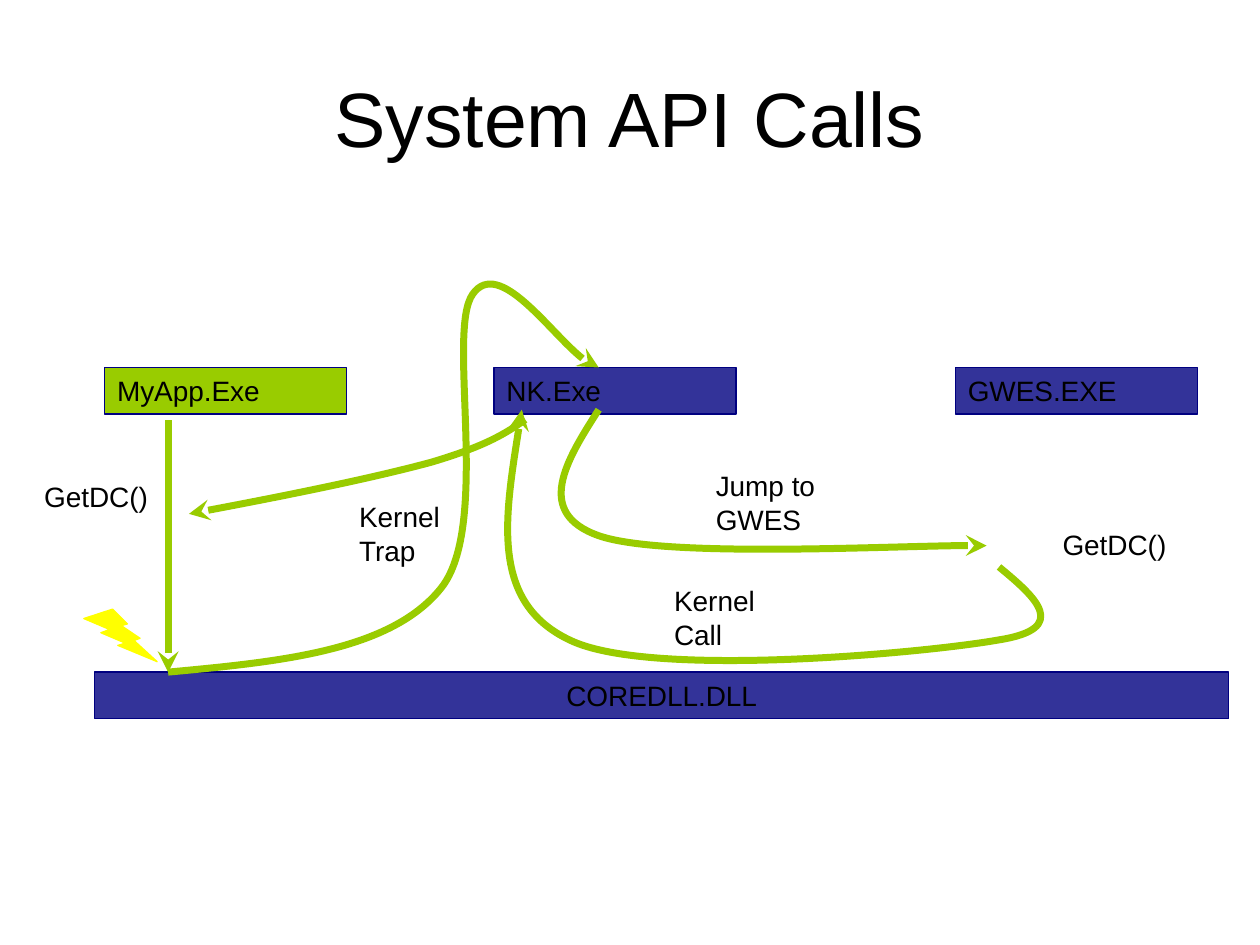
from lxml import etree
from pptx import Presentation
from pptx.dml.color import RGBColor
from pptx.enum.shapes import MSO_CONNECTOR, MSO_SHAPE
from pptx.enum.text import MSO_ANCHOR, PP_ALIGN
from pptx.oxml.ns import qn
from pptx.util import Cm, Pt

RECTANGLE = MSO_SHAPE.RECTANGLE
BOLT = MSO_SHAPE.LIGHTNING_BOLT
STRAIGHT = MSO_CONNECTOR.STRAIGHT
MIDDLE, TOP = MSO_ANCHOR.MIDDLE, MSO_ANCHOR.TOP
LEFT, CENTER = PP_ALIGN.LEFT, PP_ALIGN.CENTER

COLORS = {
    "text": "000000",
    "system": "333399",
    "app": "99CC00",
    "border": "000080",
    "arrow": "99CC00",
    "bolt": "FFFF00",
}
FONT = "Arial"
ROW_HEIGHT = 0.94
LABEL_WIDTH = 2.97
PROCESS_TOP, PROCESS_WIDTH = 7.41, 4.88

PROCESSES = [
    ("MyApp.Exe", 2.11, "app"),
    ("NK.Exe", 9.96, "system"),
    ("GWES.EXE", 19.26, "system"),
]
LABELS = [
    ("GetDC()", 0.64, 9.53, 1),
    ("Kernel Trap", 6.99, 9.95, 2),
    ("Kernel Call", 13.34, 11.64, 2),
    ("GetDC()", 21.17, 10.5, 1),
    ("Jump to GWES", 14.18, 9.32, 2),
]
KERNEL_TRAP = [
    (3.39, 13.55), (5.64, 13.34), (7.87, 13.13), (8.89, 11.86), (9.91, 10.59),
    (8.99, 6.68), (9.53, 5.93), (10.06, 5.18), (11.53, 7.32), (12.07, 7.41),
]
KERNEL_CALL = [
    (20.14, 11.43), (20.88, 12.04), (21.59, 12.67), (20.14, 12.9), (18.69, 13.16),
    (13.08, 13.69), (11.48, 12.9), (9.88, 12.14), (10.21, 10.19), (10.52, 8.26),
]
JUMP_TO_GWES = [
    (12.07, 8.26), (11.4, 9.3), (10.77, 10.34), (12.07, 10.8),
    (13.36, 11.25), (18.59, 10.97), (19.89, 11),
]
RETURN_TO_APP = [
    (10.59, 8.46), (10.19, 8.74), (9.8, 8.99), (8.69, 9.32),
    (7.54, 9.63), (5.69, 10.01), (3.81, 10.36),
]


def color(name):
    return RGBColor.from_string(COLORS[name])


def set_text(shape, text, size=16, alignment=LEFT, anchor=TOP):
    frame = shape.text_frame
    frame.word_wrap = True
    frame.vertical_anchor = anchor
    frame.margin_left = frame.margin_right = Cm(0.25)
    frame.margin_top = frame.margin_bottom = Cm(0.13)
    frame.text = text
    paragraph = frame.paragraphs[0]
    paragraph.alignment = alignment
    font = paragraph.runs[0].font
    font.name = FONT
    font.size = Pt(size)
    font.color.rgb = color("text")


def add_label(slide, text, left, top, width, height, **style):
    box = slide.shapes.add_textbox(Cm(left), Cm(top), Cm(width), Cm(height))
    set_text(box, text, **style)


def add_filled(slide, kind, left, top, width, height, fill, border):
    shape = slide.shapes.add_shape(kind, Cm(left), Cm(top), Cm(width), Cm(height))
    shape.shadow.inherit = False
    shape.fill.solid()
    shape.fill.fore_color.rgb = color(fill)
    shape.line.color.rgb = color(border)
    shape.line.width = Pt(0.75)
    return shape


def add_module(slide, text, left, top, width, fill, alignment=LEFT):
    shape = add_filled(slide, RECTANGLE, left, top, width, ROW_HEIGHT, fill, "border")
    set_text(shape, text, alignment=alignment)


def style_arrow(shape):
    shape.line.color.rgb = color("arrow")
    shape.line.width = Pt(4)
    line = shape.line._get_or_add_ln()
    etree.SubElement(line, qn("a:tailEnd"), type="stealth")


def add_straight_arrow(slide, start, end):
    points = [Cm(value) for value in (*start, *end)]
    connector = slide.shapes.add_connector(STRAIGHT, *points)
    style_arrow(connector)
    etree.SubElement(connector._element.spPr, qn("a:effectLst"))


def add_curved_arrow(slide, points):
    start, *others = [(Cm(x), Cm(y)) for x, y in points]
    builder = slide.shapes.build_freeform(*start)
    builder.add_line_segments(others, close=False)
    shape = builder.convert_to_shape()
    outline = next(shape._element.iter(qn("a:path")))
    segments = outline.findall(qn("a:lnTo"))
    for first in range(0, len(segments), 3):
        curve = etree.SubElement(outline, qn("a:cubicBezTo"))
        for segment in segments[first:first + 3]:
            curve.append(segment[0])
            outline.remove(segment)
    shape.fill.background()
    shape.shadow.inherit = False
    style_arrow(shape)


def main():
    presentation = Presentation()
    presentation.slide_width = Cm(25.4)
    presentation.slide_height = Cm(19.05)
    slide = presentation.slides.add_slide(presentation.slide_layouts[6])

    add_label(slide, "System API Calls", 1.27, 0.76, 22.86, 3.18,
              size=44, alignment=CENTER, anchor=MIDDLE)
    add_module(slide, "COREDLL.DLL", 1.91, 13.55, 22.86, "system", CENTER)
    for text, left, fill in PROCESSES:
        add_module(slide, text, left, PROCESS_TOP, PROCESS_WIDTH, fill)
    add_filled(slide, BOLT, 1.69, 12.28, 1.48, 1.06, "bolt", "bolt")

    add_straight_arrow(slide, (3.39, 8.47), (3.39, 13.55))
    for points in (KERNEL_TRAP, KERNEL_CALL, JUMP_TO_GWES, RETURN_TO_APP):
        add_curved_arrow(slide, points)
    for text, left, top, lines in LABELS:
        height = ROW_HEIGHT + (lines - 1) * 0.68
        add_label(slide, text, left, top, LABEL_WIDTH, height)

    presentation.save("out.pptx")


if __name__ == "__main__":
    main()
